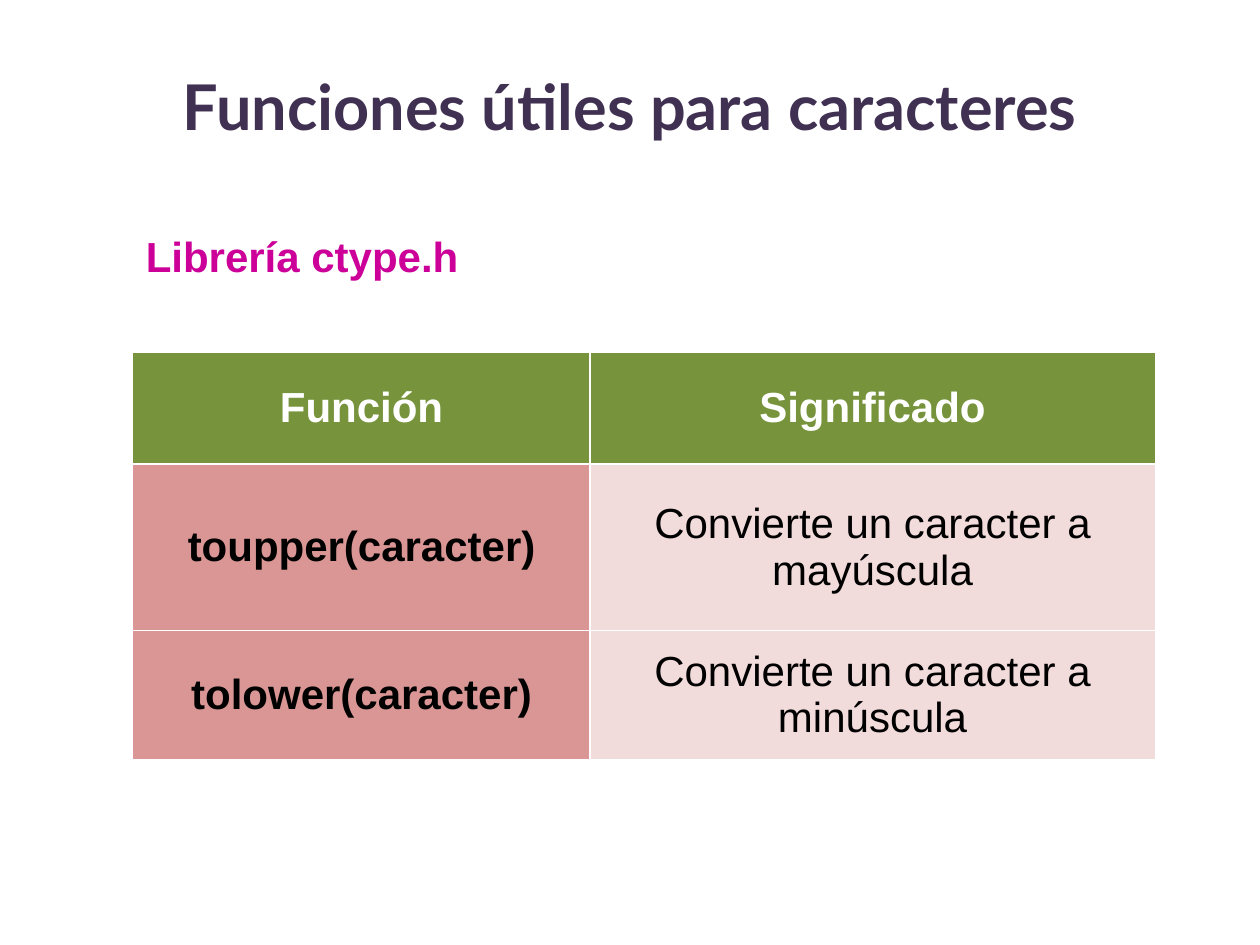
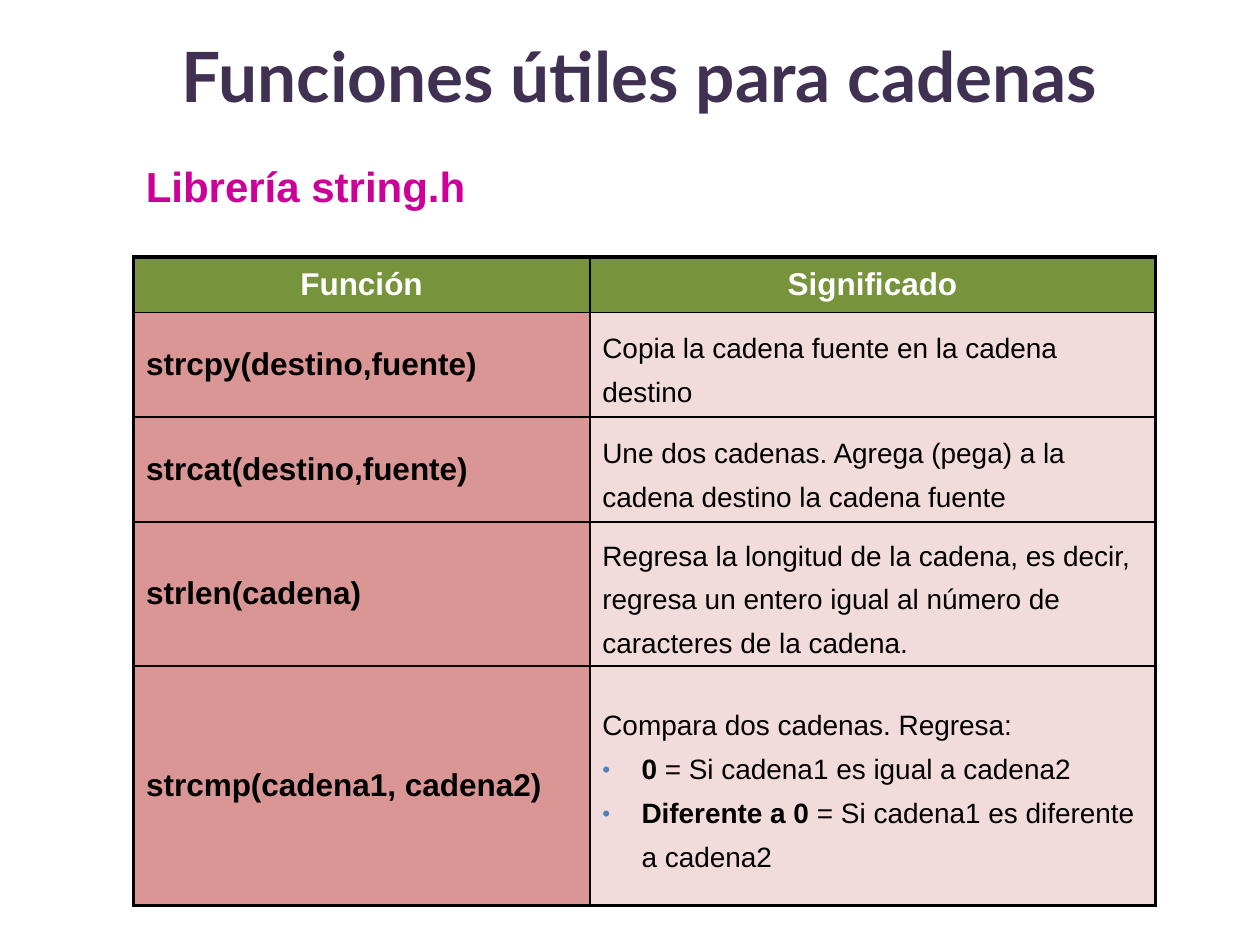
import pptx
import pptx.dml.color
import pptx.enum.text
import pptx.oxml.ns
import pptx.util
from lxml import etree

Cm, Pt = pptx.util.Cm, pptx.util.Pt
RGBColor = pptx.dml.color.RGBColor
PP_ALIGN = pptx.enum.text.PP_ALIGN
MSO_ANCHOR = pptx.enum.text.MSO_ANCHOR
qn = pptx.oxml.ns.qn

PURPLE = RGBColor(0x40, 0x31, 0x52)
MAGENTA = RGBColor(0xCC, 0x00, 0x99)
GREEN = RGBColor(0x77, 0x93, 0x3C)
ROSE = RGBColor(0xD9, 0x96, 0x94)
PALE_ROSE = RGBColor(0xF2, 0xDC, 0xDB)
BLUE = RGBColor(0x4F, 0x81, 0xBD)
BLACK = RGBColor(0, 0, 0)
WHITE = RGBColor(0xFF, 0xFF, 0xFF)

HEADER = ("Función", "Significado")
# A meaning is one text, or an introduction followed by (bold term, rest) items.
SLIDES = [
    {
        "title": "Funciones útiles para caracteres",
        "title_at": (1.9, 0.53), "title_size": 36,
        "library": "Librería ctype.h", "library_top": 4.52,
        "functions": [
            ("toupper(caracter)", ["Convierte un caracter a mayúscula"]),
            ("tolower(caracter)", ["Convierte un caracter a minúscula"]),
        ],
        "table_top": 7.11, "rows": (2.24, 3.36, 2.6),
        "name_size": 24, "meaning_size": 24, "line_spacing": None,
        "align": PP_ALIGN.CENTER,
        "border": WHITE, "inner": 1, "outer": 0,
    },
    {
        "title": "Funciones útiles para cadenas",
        "title_at": (2.1, -0.08), "title_size": 39.6,
        "library": "Librería string.h", "library_top": 3.12,
        "functions": [
            ("strcpy(destino,fuente)",
             ["Copia la cadena fuente en la cadena destino"]),
            ("strcat(destino,fuente)",
             ["Une dos cadenas. Agrega (pega) a la cadena destino "
              "la cadena fuente"]),
            ("strlen(cadena)",
             ["Regresa la longitud de la cadena, es decir, regresa un entero "
              "igual al número de caracteres de la cadena."]),
            ("strcmp(cadena1, cadena2)",
             ["Compara dos cadenas. Regresa:",
              ("0", " = Si cadena1 es igual a cadena2"),
              ("Diferente a 0", " = Si cadena1 es diferente a cadena2")]),
        ],
        "table_top": 5.18, "rows": (1.12, 2.11, 2.11, 2.79, 4.83),
        "name_size": 18, "meaning_size": 16, "line_spacing": Pt(25),
        "align": PP_ALIGN.LEFT,
        "border": BLACK, "inner": 1, "outer": 2.25,
    },
]

LEFT = 2.69
COLUMNS = (9.2, 11.4)
TITLE_SIZE = (21.59, 3.18)
LIBRARY_SIZE = (8.2, 1.27)
BULLET_INDENT = Cm(0.79)


def add_run(p, text, color, size, bold=True, name="Arial"):
    r = p.add_run()
    r.text = text
    r.font.color.rgb = color
    style = {"size": Pt(size), "bold": bold, "name": name}
    for key, value in style.items():
        setattr(r.font, key, value)


def add_bullet(p):
    pPr = p._p.get_or_add_pPr()
    pPr.set("marL", str(BULLET_INDENT))
    pPr.set("indent", str(-BULLET_INDENT))
    color = etree.SubElement(pPr, qn("a:buClr"))
    etree.SubElement(color, qn("a:srgbClr"), val=str(BLUE))
    etree.SubElement(pPr, qn("a:buSzPct"), val="80000")
    etree.SubElement(pPr, qn("a:buFont"), typeface="Arial")
    etree.SubElement(pPr, qn("a:buChar"), char="•")


def set_borders(cell, color, widths):
    """Draw the left, right, top and bottom borders; width 0 means none."""
    tcPr = cell._tc.get_or_add_tcPr()
    for side, width in zip("LRTB", widths):
        ln = etree.SubElement(tcPr, qn(f"a:ln{side}"), w=str(Pt(width)))
        if width:
            fill = etree.SubElement(ln, qn("a:solidFill"))
            etree.SubElement(fill, qn("a:srgbClr"), val=str(color))
        else:
            etree.SubElement(ln, qn("a:noFill"))


def write_meaning(tf, parts, data):
    for i, part in enumerate(parts):
        p = tf.add_paragraph() if i else tf.paragraphs[0]
        if isinstance(part, tuple):
            add_bullet(p)
            runs = zip(part, (True, False))
        else:
            runs = [(part, False)]
        p.alignment = data["align"]
        if data["line_spacing"]:
            p.line_spacing = data["line_spacing"]
        for text, bold in runs:
            add_run(p, text, BLACK, data["meaning_size"], bold)


def add_function_table(s, data):
    rows = [HEADER] + data["functions"]
    frame = s.shapes.add_table(len(rows), len(COLUMNS), Cm(LEFT),
                               Cm(data["table_top"]), Cm(sum(COLUMNS)),
                               Cm(sum(data["rows"])))
    table = frame.table
    table.first_row = table.horz_banding = False
    for column, width in zip(table.columns, COLUMNS):
        column.width = Cm(width)
    for row, height in zip(table.rows, data["rows"]):
        row.height = Cm(height)

    inner, outer = data["inner"], data["outer"]
    last_row, last_col = len(rows) - 1, len(COLUMNS) - 1
    for i, row in enumerate(rows):
        for j, content in enumerate(row):
            cell = table.cell(i, j)
            cell.vertical_anchor = MSO_ANCHOR.MIDDLE
            edges = (j == 0, j == last_col, i == 0, i == last_row)
            set_borders(cell, data["border"],
                        [outer if edge else inner for edge in edges])
            cell.fill.solid()
            cell.fill.fore_color.rgb = (GREEN if i == 0 else
                                        PALE_ROSE if j else ROSE)
            if i and j:
                write_meaning(cell.text_frame, content, data)
            else:
                p = cell.text_frame.paragraphs[0]
                p.alignment = data["align"] if i else PP_ALIGN.CENTER
                add_run(p, content, BLACK if i else WHITE, data["name_size"])


def add_title(s, data):
    sp = s.shapes.title
    places = data["title_at"] + TITLE_SIZE
    for key, value in zip(("left", "top", "width", "height"), places):
        setattr(sp, key, Cm(value))
    tf = sp.text_frame
    tf.vertical_anchor = MSO_ANCHOR.MIDDLE
    p = tf.paragraphs[0]
    p.alignment = PP_ALIGN.CENTER
    add_run(p, data["title"], PURPLE, data["title_size"], name="Lato")


def add_library(s, data):
    sp = s.shapes.add_textbox(Cm(LEFT), Cm(data["library_top"]),
                              *map(Cm, LIBRARY_SIZE))
    tf = sp.text_frame
    tf.word_wrap = True
    tf.auto_size = pptx.enum.text.MSO_AUTO_SIZE.SHAPE_TO_FIT_TEXT
    add_run(tf.paragraphs[0], data["library"], MAGENTA, 24)


def main():
    prs = pptx.Presentation()
    prs.slide_width, prs.slide_height = Cm(25.4), Cm(19.05)
    for data in SLIDES:
        s = prs.slides.add_slide(prs.slide_layouts[5])
        add_title(s, data)
        add_function_table(s, data)
        add_library(s, data)
    prs.save("out.pptx")


if __name__ == "__main__":
    main()
